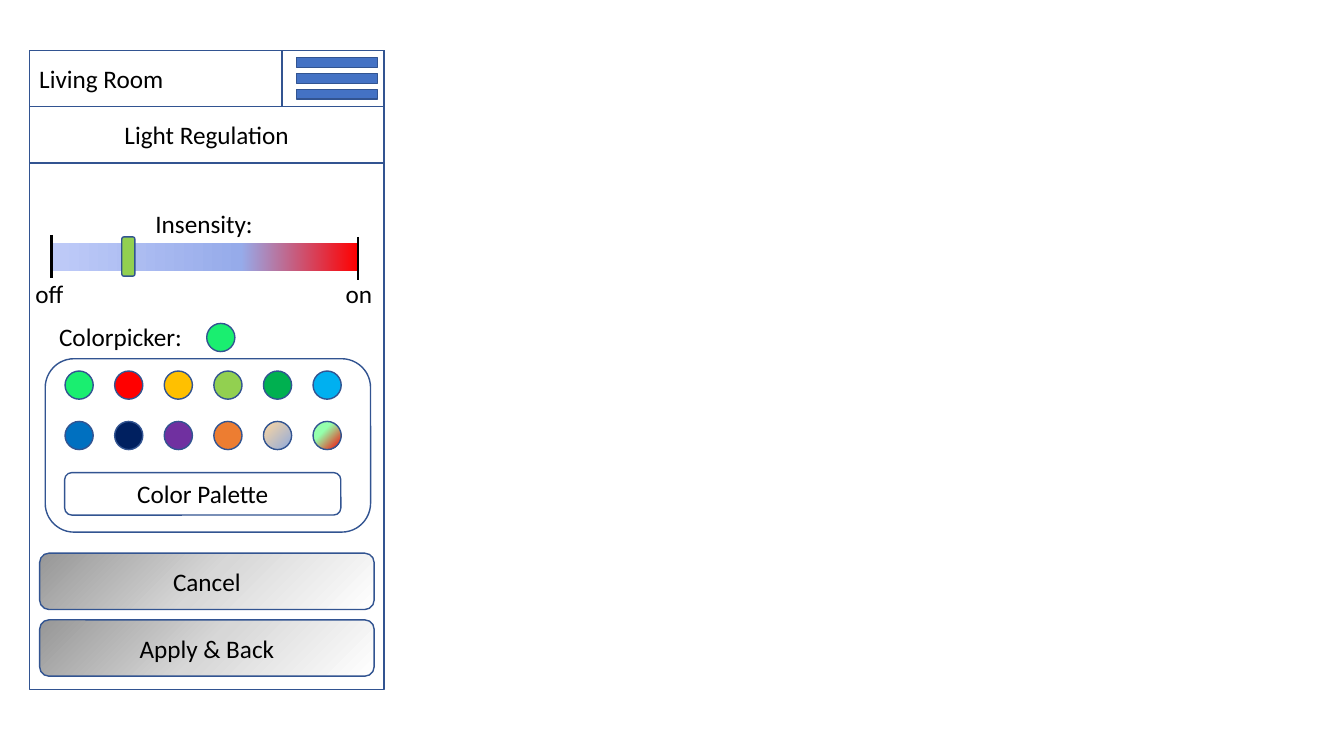
import pptx
import pptx.dml.color
import pptx.enum.shapes
import pptx.enum.text
import pptx.oxml.ns
import pptx.util
from lxml import etree

Cm = pptx.util.Cm
Pt = pptx.util.Pt
RGBColor = pptx.dml.color.RGBColor
Preset = pptx.enum.shapes.MSO_SHAPE
Align = pptx.enum.text.PP_ALIGN
Anchor = pptx.enum.text.MSO_ANCHOR

FONT = "Calibri"
BLACK = RGBColor(0x00, 0x00, 0x00)
WHITE = RGBColor(0xFF, 0xFF, 0xFF)
OUTLINE = RGBColor(0x32, 0x54, 0x91)
BLUE = RGBColor(0x44, 0x72, 0xC4)
RED = RGBColor(0xFF, 0x00, 0x00)
MINT = RGBColor(0x1A, 0xEE, 0x70)
AMBER = RGBColor(0xFF, 0xC0, 0x00)
LIME = RGBColor(0x92, 0xD0, 0x50)
GREEN = RGBColor(0x00, 0xB0, 0x50)
SKY = RGBColor(0x00, 0xB0, 0xF0)
OCEAN = RGBColor(0x00, 0x70, 0xC0)
NAVY = RGBColor(0x00, 0x20, 0x60)
PURPLE = RGBColor(0x70, 0x30, 0xA0)
ORANGE = RGBColor(0xED, 0x7D, 0x31)

# Gradients: angle in degrees, then (position in percent, colour) stops
BUTTON_GREY = (45, [(0, RGBColor(0x97, 0x97, 0x97)),
                    (50, RGBColor(0xD7, 0xD7, 0xD7)), (100, WHITE)])
INTENSITY = (0, [(0, RGBColor(0xBF, 0xCB, 0xF8)),
                 (62, RGBColor(0x96, 0xAB, 0xEA)), (100, RED)])
SAND_TO_BLUE = (45, [(0, RGBColor(0xFF, 0xD8, 0xA0)),
                     (100, RGBColor(0x8F, 0xAA, 0xDC))])
MINT_TO_RED = (45, [(37, RGBColor(0x95, 0xFF, 0xAC)), (100, RED)])

SWATCH_ROWS = [
    [MINT, RED, AMBER, LIME, GREEN, SKY],
    [OCEAN, NAVY, PURPLE, ORANGE, SAND_TO_BLUE, MINT_TO_RED],
]
SWATCH_SIZE = 0.71
SCREEN_LEFT, SCREEN_TOP, SCREEN_WIDTH = 0.74, 1.27, 8.94
BAR_HEIGHT = 1.42


def fill_gradient(shape, angle, stops):
    """Fill the shape with any number of stops at a clockwise angle."""
    qn = pptx.oxml.ns.qn
    shape.fill.gradient()
    gradient = shape._element.spPr.find(qn("a:gradFill"))
    for child in list(gradient):
        gradient.remove(child)
    stop_list = etree.SubElement(gradient, qn("a:gsLst"))
    for position, color in stops:
        stop = etree.SubElement(stop_list, qn("a:gs"), pos=str(position * 1000))
        etree.SubElement(stop, qn("a:srgbClr"), val=str(color))
    etree.SubElement(gradient, qn("a:lin"), ang=str(angle * 60000), scaled="0")


def set_text(shape, text, alignment):
    text_frame = shape.text_frame
    text_frame.text = text
    paragraph = text_frame.paragraphs[0]
    paragraph.alignment = alignment
    font = paragraph.runs[0].font
    font.name = FONT
    font.size = Pt(18)
    font.color.rgb = BLACK


def add_box(slide, preset, left, top, width, height, fill=None,
            outlined=True, text=None, alignment=Align.CENTER):
    """Add a preset shape; fill is a colour, a gradient or None."""
    shape = slide.shapes.add_shape(
        preset, Cm(left), Cm(top), Cm(width), Cm(height))
    shape.shadow.inherit = False
    if fill is None:
        shape.fill.background()
    elif isinstance(fill, RGBColor):
        shape.fill.solid()
        shape.fill.fore_color.rgb = fill
    else:
        fill_gradient(shape, *fill)
    if outlined:
        shape.line.color.rgb = OUTLINE
        shape.line.width = Pt(1)
    else:
        shape.line.fill.background()
    if text:
        shape.text_frame.vertical_anchor = Anchor.MIDDLE
        set_text(shape, text, alignment)
    return shape


def add_swatch(slide, left, top, fill):
    add_box(slide, Preset.OVAL, left, top, SWATCH_SIZE, SWATCH_SIZE, fill)


def add_end_mark(slide, left, top):
    mark = slide.shapes.add_connector(
        pptx.enum.shapes.MSO_CONNECTOR.STRAIGHT,
        Cm(left), Cm(top), Cm(left), Cm(top + 1.09))
    mark.line.color.rgb = BLACK
    mark.line.width = Pt(2)
    etree.SubElement(mark._element.spPr, pptx.oxml.ns.qn("a:effectLst"))


def add_end_label(slide, left, text):
    label = slide.shapes.add_textbox(Cm(left), Cm(6.88), Cm(1.35), Cm(1.02))
    label.text_frame.word_wrap = True
    set_text(label, text, Align.LEFT)


def add_header(slide):
    add_box(slide, Preset.RECTANGLE, SCREEN_LEFT, SCREEN_TOP, SCREEN_WIDTH,
            BAR_HEIGHT, WHITE, text="Living Room", alignment=Align.LEFT)
    add_box(slide, Preset.RECTANGLE, 7.11, SCREEN_TOP, 2.57, BAR_HEIGHT, WHITE)
    for index in range(3):
        add_box(slide, Preset.RECTANGLE, 7.47, 1.45 + 0.4 * index, 2.04, 0.25, BLUE)
    add_box(slide, Preset.RECTANGLE, SCREEN_LEFT, SCREEN_TOP + BAR_HEIGHT,
            SCREEN_WIDTH, BAR_HEIGHT, WHITE, text="Light Regulation")


def add_intensity_slider(slide):
    add_box(slide, Preset.RECTANGLE, 1.27, 5.13, 7.75, 0.99, WHITE,
            outlined=False, text="Insensity:")
    track = add_box(slide, Preset.ROUNDED_RECTANGLE, 1.27, 6.12, 7.75, 0.71,
                    INTENSITY, outlined=False)
    track.adjustments[0] = 0
    add_box(slide, Preset.ROUNDED_RECTANGLE, 3.07, 5.97, 0.33, 0.99, LIME)
    add_end_mark(slide, 1.3, 5.92)
    add_end_mark(slide, 9.02, 5.97)
    add_end_label(slide, 0.64, "off")
    add_end_label(slide, 8.46, "on")


def add_color_picker(slide):
    add_box(slide, Preset.RECTANGLE, 1.24, 7.98, 7.75, 0.99, WHITE,
            outlined=False, text="Colorpicker:", alignment=Align.LEFT)
    add_swatch(slide, 5.21, 8.15, MINT)
    add_box(slide, Preset.ROUNDED_RECTANGLE, 1.14, 9.04, 8.2, 4.37)
    for row, fills in enumerate(SWATCH_ROWS):
        for column, fill in enumerate(fills):
            add_swatch(slide, 1.64 + 1.25 * column, 9.35 + 1.27 * row, fill)
    add_box(slide, Preset.ROUNDED_RECTANGLE, 1.63, 11.91, 6.96, 1.07, WHITE,
            text="Color Palette")


def main():
    presentation = pptx.Presentation()
    presentation.slide_width = Cm(33.87)
    presentation.slide_height = Cm(19.05)
    slide = presentation.slides.add_slide(presentation.slide_layouts[6])
    add_box(slide, Preset.RECTANGLE, SCREEN_LEFT, SCREEN_TOP, SCREEN_WIDTH, 16.1)
    add_header(slide)
    add_intensity_slider(slide)
    add_color_picker(slide)
    for index, caption in enumerate(["Cancel", "Apply & Back"]):
        add_box(slide, Preset.ROUNDED_RECTANGLE, 1, 13.94 + 1.68 * index,
                8.43, BAR_HEIGHT, BUTTON_GREY, text=caption)
    presentation.save("out.pptx")


if __name__ == "__main__":
    main()
